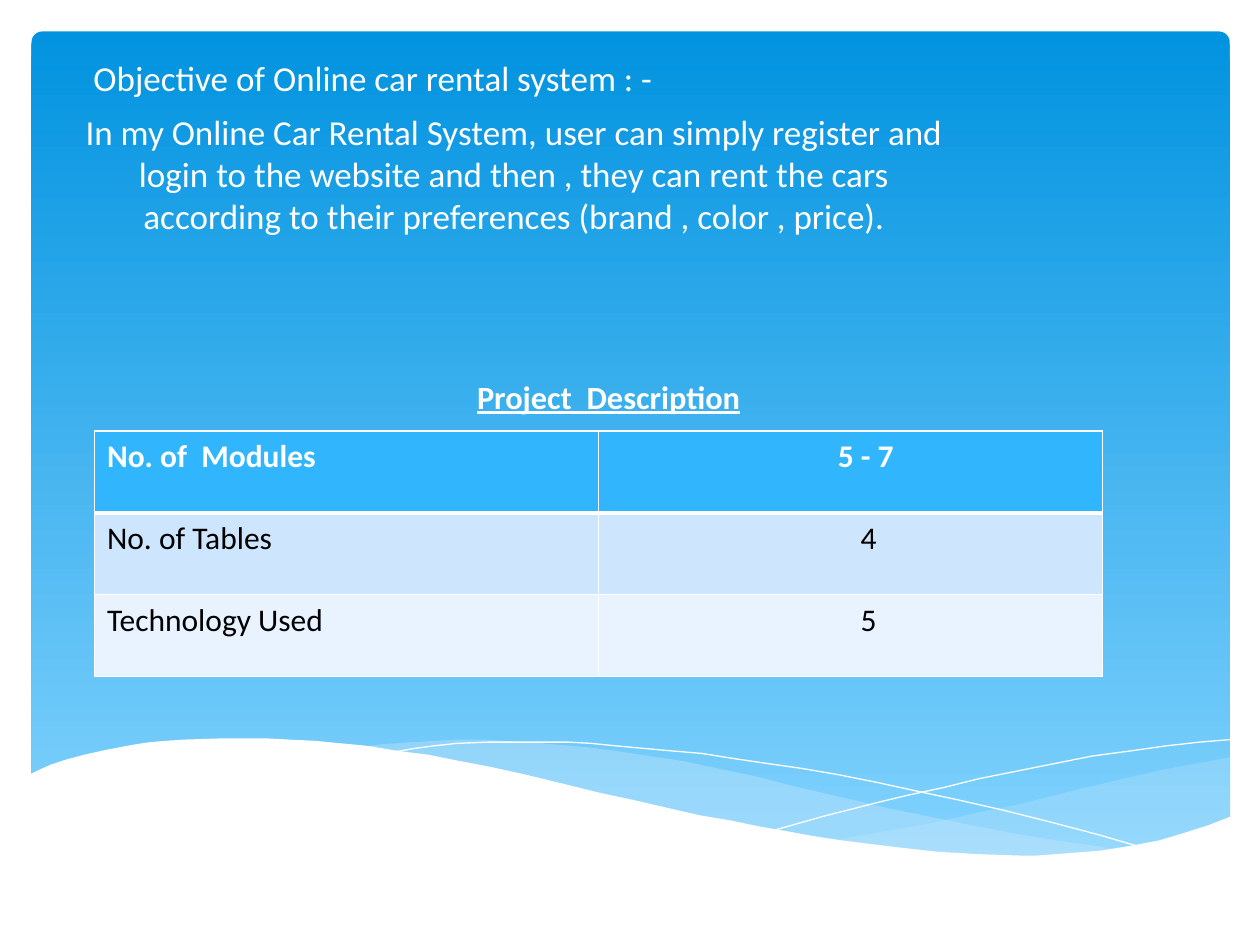
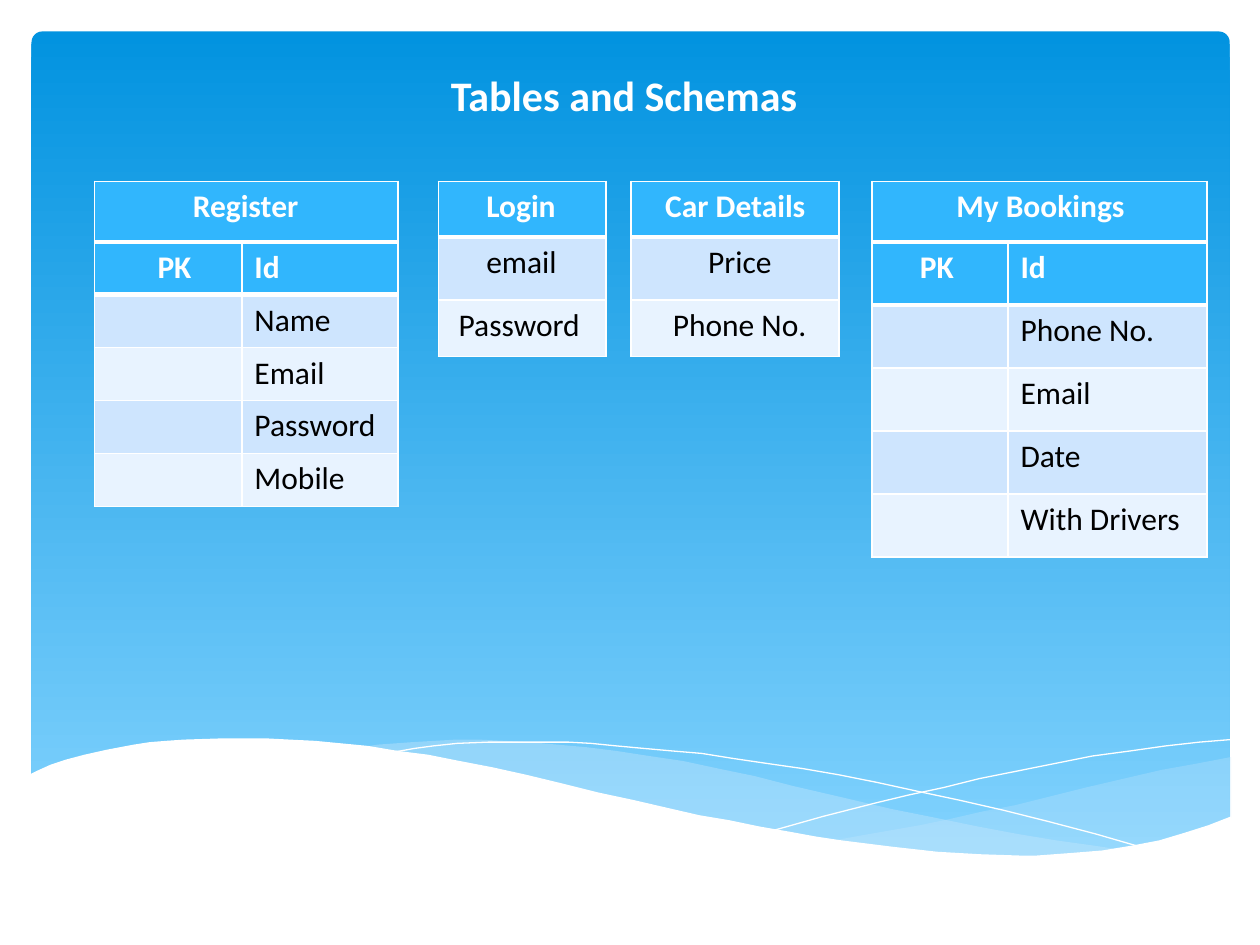
import pptx
import pptx.util
import pptx.dml.color
import pptx.enum.shapes
import pptx.enum.text
import pptx.oxml
import pptx.oxml.ns
import lxml.etree

Inches = pptx.util.Inches
Align = pptx.enum.text.PP_ALIGN
Anchor = pptx.enum.text.MSO_ANCHOR

HUES = {
    "white": "FFFFFF",
    "black": "000000",
    "deep": "0293E0",
    "sky": "83D3FE",
    "mist": "C6E7FC",
    "head": "31B6FD",
    "odd": "CEE5FE",
    "even": "E8F3FF",
}

RIGHT = [
    (9.76, 6.01), (9.5, 6.06), (9.22, 6.11), (8.92, 6.18), (8.62, 6.25),
    (8.34, 6.32), (8.06, 6.39), (7.8, 6.44), (7.54, 6.5), (7.3, 6.55),
    (7.07, 6.59), (6.84, 6.63), (6.62, 6.67), (6.92, 6.71), (7.19, 6.74),
    (7.46, 6.77), (7.7, 6.79), (8.04, 6.8), (8.36, 6.79), (8.64, 6.77),
    (8.9, 6.74), (9.07, 6.71), (9.22, 6.67), (9.37, 6.63), (9.51, 6.59),
    (9.64, 6.54), (9.77, 6.49), (9.77, 6.01),
]

MIDDLE = [
    (8.94, 6.75), (8.67, 6.71), (8.38, 6.67), (8.08, 6.62), (7.76, 6.56),
    (7.42, 6.49), (7.07, 6.42), (6.69, 6.33), (6.3, 6.24), (5.99, 6.16),
    (5.7, 6.1), (5.42, 6.04), (5.15, 6), (4.89, 5.96), (4.65, 5.93),
    (4.42, 5.91), (4.2, 5.89), (4, 5.88), (3.8, 5.87), (3.62, 5.87),
    (3.45, 5.88), (3.28, 5.89), (3.14, 5.9), (3, 5.91), (2.87, 5.93),
    (3.05, 5.95), (3.23, 5.98), (3.43, 6.01), (3.63, 6.04), (3.83, 6.09),
    (4.05, 6.13), (4.27, 6.18), (4.5, 6.24), (4.91, 6.34), (5.3, 6.42),
    (5.67, 6.5), (6.02, 6.57), (6.35, 6.63), (6.66, 6.68), (6.96, 6.72),
    (7.23, 6.76), (7.49, 6.78), (7.74, 6.79), (7.97, 6.8), (8.39, 6.8),
    (8.59, 6.79), (8.77, 6.77), (8.94, 6.75),
]

FALL = [
    (3.1, 5.97), (3.18, 5.96), (3.29, 5.94), (3.44, 5.92), (3.63, 5.9),
    (3.88, 5.89), (4.17, 5.89), (4.51, 5.89), (4.69, 5.9), (4.89, 5.92),
    (5.11, 5.94), (5.33, 5.96), (5.57, 5.98), (5.82, 6.02), (6.09, 6.06),
    (6.37, 6.1), (6.66, 6.15), (6.96, 6.21), (7.28, 6.28), (7.61, 6.35),
    (7.96, 6.43), (8.32, 6.52), (8.7, 6.62), (9.08, 6.73),
]

RISE = [
    (6.14, 6.59), (6.53, 6.48), (6.96, 6.37), (7.21, 6.31), (7.49, 6.25),
    (7.77, 6.18), (8.07, 6.12), (8.37, 6.06), (8.67, 6), (8.97, 5.96),
    (9.25, 5.92), (9.52, 5.89), (9.76, 5.87),
]

FRONT = [
    (9.77, 6.48), (9.59, 6.55), (9.4, 6.61), (9.2, 6.67), (8.99, 6.71),
    (8.75, 6.75), (8.5, 6.77), (8.23, 6.79), (8.09, 6.79), (7.78, 6.78),
    (7.44, 6.76), (7.08, 6.72), (6.68, 6.67), (6.48, 6.64), (6.26, 6.6),
    (6.03, 6.56), (5.79, 6.51), (5.55, 6.47), (5.29, 6.41), (5.03, 6.35),
    (4.75, 6.29), (4.47, 6.22), (4.18, 6.15), (3.91, 6.09), (3.65, 6.04),
    (3.4, 5.99), (3.16, 5.96), (2.92, 5.92), (2.71, 5.9), (2.5, 5.88),
    (2.3, 5.87), (2.11, 5.86), (1.77, 5.86), (1.46, 5.87), (1.32, 5.88),
    (1.19, 5.89), (1.06, 5.91), (0.85, 5.95), (0.67, 5.99), (0.52, 6.03),
    (0.4, 6.07), (0.29, 6.12), (0.23, 6.15), (0.23, 7.31), (9.77, 7.31),
]


def color(name):
    return pptx.dml.color.RGBColor.from_string(HUES[name])


def write(frame, text, size=18, hue="white", bold=False, line=False, align=Align.LEFT):
    para = frame.paragraphs[0]
    para.alignment = align
    run = para.add_run()
    run.text = text
    font = run.font
    font.name = "Calibri"
    font.size = pptx.util.Pt(size)
    font.color.rgb = color(hue)
    font.bold = bold
    font.underline = line


class Deck:
    def __init__(self):
        self.show = pptx.Presentation()
        self.show.slide_width = Inches(10)
        self.show.slide_height = Inches(7.5)
        self.slide = None

    def page(self):
        self.slide = self.show.slides.add_slide(self.show.slide_layouts[6])
        self.panel()
        self.wave(RIGHT, fill="mist", alpha=29)
        self.wave(MIDDLE, fill="mist", alpha=40)
        self.wave(FALL)
        self.wave(RISE)
        self.wave(FRONT, fill="white")

    def panel(self):
        kind = pptx.enum.shapes.MSO_SHAPE.ROUNDED_RECTANGLE
        shape = self.slide.shapes.add_shape(
            kind, Inches(0.25), Inches(0.25), Inches(9.51), Inches(6.6))
        shape.adjustments[0] = 0.013
        shape.shadow.inherit = False
        shape.line.fill.background()
        shape.fill.gradient()
        shape.fill.gradient_angle = 270
        for stop, name, place in zip(shape.fill.gradient_stops, ("deep", "sky"), (0, 1)):
            stop.color.rgb = color(name)
            stop.position = place

    def wave(self, points, fill=None, alpha=None):
        spots = [(Inches(x), Inches(y)) for x, y in points]
        pen = self.slide.shapes.build_freeform(*spots[0])
        pen.add_line_segments(spots[1:], close=fill is not None)
        shape = pen.convert_to_shape()
        shape.shadow.inherit = False
        if fill is None:
            shape.fill.background()
            shape.line.color.rgb = color("white")
            shape.line.width = 0
            return
        shape.line.fill.background()
        shape.fill.solid()
        shape.fill.fore_color.rgb = color(fill)
        if alpha:
            tint = shape.fill._xPr.find(".//" + pptx.oxml.ns.qn("a:srgbClr"))
            node = lxml.etree.SubElement(tint, pptx.oxml.ns.qn("a:alpha"))
            node.set("val", str(alpha * 1000))

    def text(self, left, top, width, height, words, wrap=True, anchor=Anchor.TOP, **style):
        box = self.slide.shapes.add_textbox(
            Inches(left), Inches(top), Inches(width), Inches(height))
        box.text_frame.word_wrap = wrap
        box.text_frame.vertical_anchor = anchor
        write(box.text_frame, words, **style)

    def edge(self, cell, sides):
        props = cell._tc.get_or_add_tcPr()
        for spot, (side, points) in enumerate(sides):
            props.insert(spot, pptx.oxml.parse_xml(
                f'<a:ln{side} {pptx.oxml.ns.nsdecls("a")} w="{points * 12700}">'
                f'<a:solidFill><a:srgbClr val="{HUES["white"]}"/></a:solidFill>'
                f'</a:ln{side}>'))

    def grid(self, left, top, cols, highs, rows):
        frame = self.slide.shapes.add_table(
            len(highs), len(cols), Inches(left), Inches(top),
            Inches(sum(cols)), Inches(sum(highs)))
        table = frame.table
        table.horz_banding = False
        for col, wide in zip(table.columns, cols):
            col.width = Inches(wide)
        for num, (row, high, items) in enumerate(zip(table.rows, highs, rows)):
            row.height = Inches(high)
            head = num == 0
            fill = "head" if head else "odd" if num % 2 else "even"
            for cell, (words, pad) in zip(row.cells, items):
                cell.fill.solid()
                cell.fill.fore_color.rgb = color(fill)
                cell.margin_left = Inches(pad)
                if words:
                    write(cell.text_frame, words, bold=head,
                          hue="white" if head else "black")
                sides = [("L", 1), ("R", 1)] + [("T", 1)] * head
                self.edge(cell, sides + [("B", 3 if head else 1)])

    def keyed(self, left, cols, high, title, key, names):
        rows = [[key, ("Id", 0.1)]] + [[("", 0.1), (name, 0.1)] for name in names]
        self.grid(left, 1.92, cols, [high] * len(rows), rows)
        self.grid(left, 1.44, [sum(cols)], [0.48], [[title]])


def main():
    deck = Deck()

    deck.page()
    deck.text(0.42, 0.33, 5.08, 0.5, "Objective of Online car rental system : -",
              anchor=Anchor.BOTTOM, size=20, align=Align.CENTER)
    deck.text(0.58, 0.83, 7, 1.61,
              "In my Online Car Rental System, user can simply register and login to "
              "the website and then , they can rent the cars according to their "
              "preferences (brand , color , price).",
              size=20, align=Align.CENTER)
    deck.text(3.58, 2.94, 2.5, 0.44, "Project  Description",
              size=18.5, bold=True, line=True, align=Align.CENTER)
    deck.grid(0.75, 3.42, [4, 4], [0.65] * 3, [
        [("No. of  Modules", 0.1), ("5 - 7", 1.9)],
        [("No. of Tables", 0.1), ("4", 2.08)],
        [("Technology Used", 0.1), ("5", 2.08)],
    ])

    deck.page()
    deck.text(3.48, 0.5, 3.07, 0.5, "Tables and Schemas", wrap=False, size=24, bold=True)
    deck.keyed(0.75, [1.17, 1.24], 0.42, ("Register", 0.78), ("PK", 0.5),
               ["Name", "Email", "Password", "Mobile"])
    lists = [
        (3.48, 1.33, [("Login", 0.38), ("email", 0.38), ("Password", 0.16)]),
        (5.01, 1.65, [("Car Details", 0.27), ("Price", 0.61), ("Phone No.", 0.33)]),
    ]
    for left, wide, items in lists:
        deck.grid(left, 1.44, [wide], [0.44, 0.5, 0.45], [[item] for item in items])
    deck.keyed(6.92, [1.08, 1.58], 0.5, ("My Bookings", 0.67), ("PK", 0.38),
               ["Phone No.", "Email", "Date", "With Drivers"])

    deck.show.save("out.pptx")


if __name__ == "__main__":
    main()
